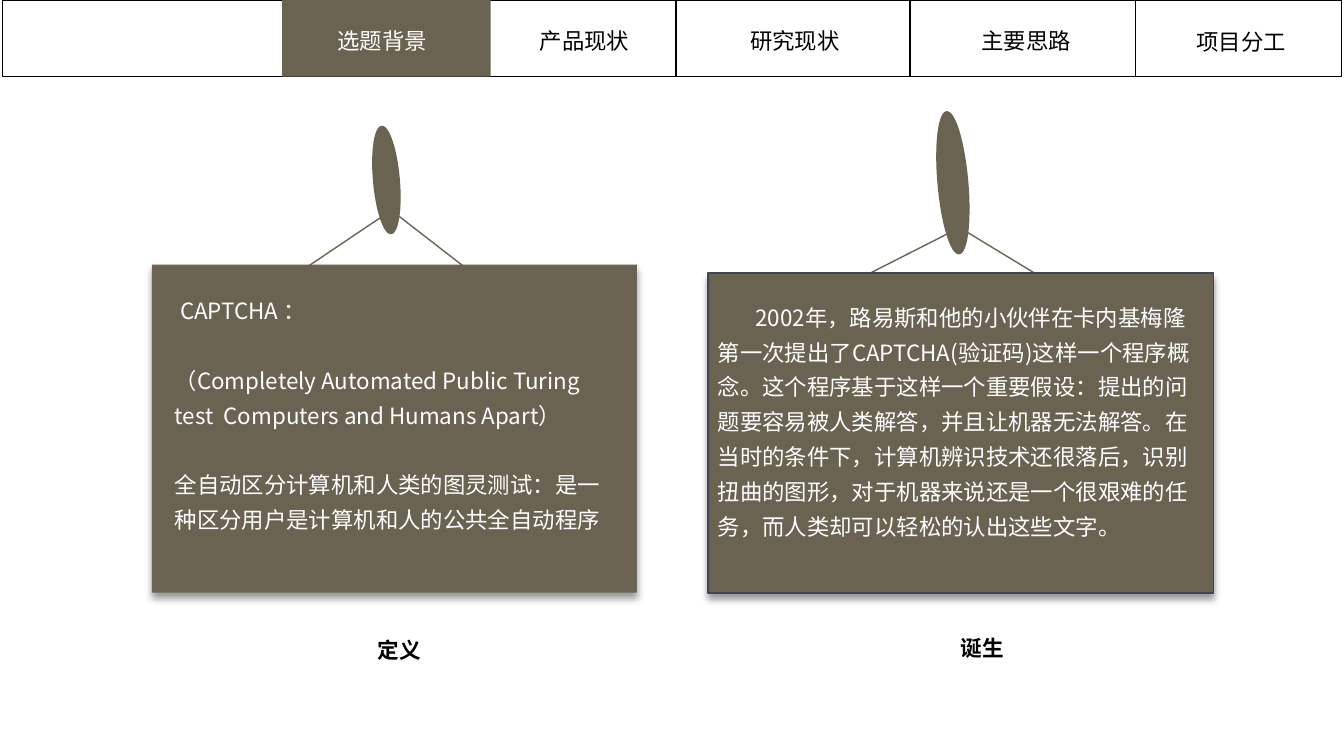
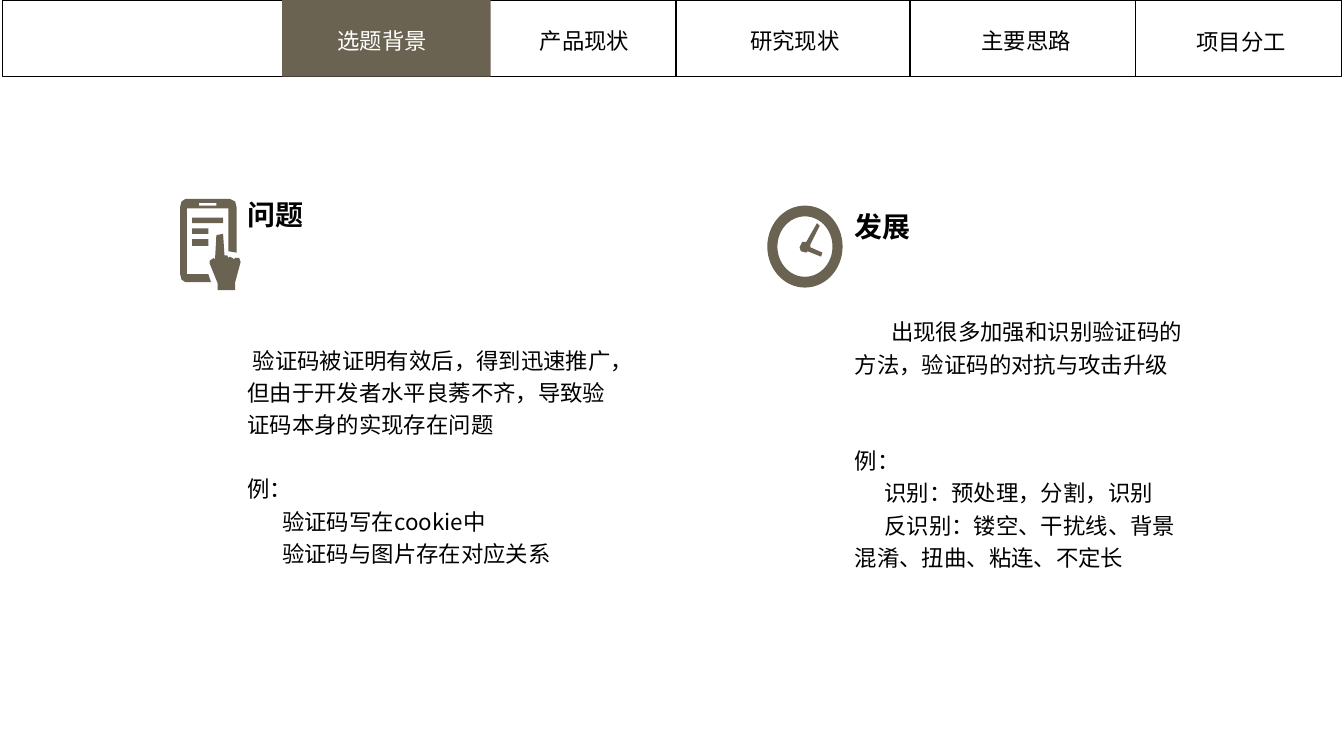
from math import cos, pi, sin

from lxml import etree
from pptx import Presentation
from pptx.dml.color import RGBColor
from pptx.enum import shapes as kinds, text as txt
from pptx.oxml import parse_xml
from pptx.oxml.ns import qn, nsdecls
from pptx.util import Pt

SCALE = 9144  # EMU in one px, 100 px to the inch
TAUPE, BLACK, WHITE, SLATE = "6B6351", "000000", "FFFFFF", "414455"
SANS, LATO = "Noto Sans CJK SC", "Lato"
PAD = (10, 5, 10, 5)
TABS = [  # label, left, top, width
    ("选题背景", 216, 15, 137),
    ("产品现状", 365, 15, 140),
    ("研究现状", 505, 15, 173),
    ("主要思路", 680, 15, 167),
    ("项目分工", 847, 16, 153),
]
ACTIVE = 0
BAR = 57
CAPTION = dict(size=20, font=LATO, bold=True, sub=True)
HEAD = dict(size=15, bold=True)


def px(*vals):
    return [round(v * SCALE) for v in vals]


def rgb(code):
    return RGBColor.from_string(code)


def stroke(line, color, width=0.75):
    if color:
        line.color.rgb, line.width = rgb(color), Pt(width)
    else:
        line.fill.background()


def block(parts, kind, box, fill=None, line=None, width=0.75):
    shape = parts.add_shape(kind, *px(*box))
    shape.shadow.inherit = False
    if fill:
        shape.fill.solid()
        shape.fill.fore_color.rgb = rgb(fill)
    else:
        shape.fill.background()
    stroke(shape.line, line, width)
    return shape


def rule(parts, start, end, color):
    line = parts.add_connector(kinds.MSO_CONNECTOR.STRAIGHT, *px(*start, *end))
    stroke(line.line, color)
    etree.SubElement(line._element.spPr, qn("a:effectLst"))


def shade(shape):
    """Give a shape a soft shadow below it."""
    props = shape._element.spPr
    props.remove(props.find(qn("a:effectLst")))
    props.append(parse_xml(
        f'<a:effectLst {nsdecls("a")}><a:outerShdw blurRad="50800" dist="38100" '
        'dir="5400000" algn="t" rotWithShape="0"><a:srgbClr val="000000">'
        '<a:alpha val="40000"/></a:srgbClr></a:outerShdw></a:effectLst>'))


def write(shape, paras, size=12, color=BLACK, font=SANS, bold=False, sub=False,
          align="LEFT", pitch=1.0, pad=PAD):
    """Fill a frame; each paragraph is (text, first-line indent, points before)."""
    frame = shape.text_frame
    left, top, right, bottom = px(*pad)
    look = dict(word_wrap=True, auto_size=txt.MSO_AUTO_SIZE.NONE,
                vertical_anchor=txt.MSO_ANCHOR.TOP, margin_left=left,
                margin_top=top, margin_right=right, margin_bottom=bottom)
    for name, val in look.items():
        setattr(frame, name, val)
    for n, (words, indent, before) in enumerate(paras):
        para = frame.add_paragraph() if n else frame.paragraphs[0]
        form = dict(alignment=txt.PP_ALIGN[align], line_spacing=pitch,
                    space_before=Pt(before), space_after=Pt(0))
        for name, val in form.items():
            setattr(para, name, val)
        props = para._p.get_or_add_pPr()
        props.set("marL", "0")
        props.set("indent", str(px(indent)[0]))
        etree.SubElement(props, qn("a:buNone"))
        run = para.add_run()
        run.text = words
        for name, val in dict(size=Pt(size), name=font, bold=bold).items():
            setattr(run.font, name, val)
        run.font.color.rgb = rgb(color)
        rpr = run._r.get_or_add_rPr()
        etree.SubElement(rpr, qn("a:ea")).set("typeface", font)
        if sub:
            rpr.set("baseline", "-3000")


def place(slide, idx, box, paras, **form):
    """Move a placeholder to a box, in front of what is drawn, and fill it."""
    holder = slide.placeholders[idx]
    names = ("left", "top", "width", "height")
    for name, val in zip(names, px(*box)):
        setattr(holder, name, val)
    slide.shapes._spTree.append(holder._element)
    write(holder, paras, **form)


def menu(slide):
    """Draw the top bar; the active tab is the slide title."""
    parts = slide.shapes
    rect = kinds.MSO_SHAPE.RECTANGLE
    block(parts, rect, (2, 0, 996, BAR), line=BLACK)
    block(parts, rect, (210, 0, 155, BAR), fill=TAUPE)
    for n, (label, x, y, w) in enumerate(TABS):
        box, paras = (x, y, w, 30), [(label, 0, 0)]
        if n == ACTIVE:
            place(slide, 0, box, paras, color=WHITE, align="CENTER")
        else:
            write(parts.add_textbox(*px(*box)), paras, align="CENTER")
    for x in (503, 677, 845):
        rule(parts, (x, 0), (x, BAR), BLACK)


def board(slide, box, cords, pin, edge=None):
    """Hang a card by two cords from a pin, all relative to its corner."""
    x, y = box[:2]
    parts = slide.shapes.add_group_shape().shapes
    for (ax, ay), (bx, by) in cords:
        rule(parts, (x + ax, y + ay), (x + bx, y + by), TAUPE)
    dx, dy, wide, high = pin
    nail = block(parts, kinds.MSO_SHAPE.OVAL, (x + dx, y + dy, wide, high),
                 TAUPE, TAUPE)
    nail.rotation = 355
    shade(block(parts, kinds.MSO_SHAPE.RECTANGLE, box, TAUPE, edge, 1))


def icon(slide, x, y, loops):
    """Draw closed outlines, relative to a corner, as one shape."""
    loops = [[px(x + a, y + b) for a, b in loop] for loop in loops]
    pen = slide.shapes.build_freeform(*loops[0][0], scale=1.0)
    for n, loop in enumerate(loops):
        if n:
            pen.move_to(*loop[0])
        pen.add_line_segments(loop[1:], close=True)
    shape = pen.convert_to_shape()
    shape.shadow.inherit = False
    shape.fill.solid()
    shape.fill.fore_color.rgb = rgb(TAUPE)
    stroke(shape.line, None)


def ring(cx, cy, rx, ry, steps=60):
    turns = [2 * pi * n / steps for n in range(steps)]
    return [(cx + rx * cos(t), cy + ry * sin(t)) for t in turns]


def bar(x, y, w, h):
    return [(x, y), (x + w, y), (x + w, y + h), (x, y + h)]


def clock(slide, x, y):
    hands = [(32, 29), (39, 15), (37, 13), (29, 27), (26, 27), (24, 31),
             (25, 34), (29, 35), (30, 34), (40, 38), (41, 35), (32, 31)]
    icon(slide, x, y, [ring(28, 30.5, 28, 30.5), ring(28, 30.5, 20.5, 22.5), hands])


def phone(slide, x, y):
    case = [(4, 0), (37, 0), (41, 2), (42, 6), (42, 40), (36, 39), (36, 7),
            (5, 7), (5, 56), (21, 56), (23, 62), (4, 62), (1, 60), (0, 56),
            (0, 6), (1, 2)]
    hand = [(27, 27), (26, 45), (25, 44), (22, 46), (22, 48), (28, 63), (28, 68),
            (41, 68), (41, 62), (45, 47), (44, 44), (41, 44), (40, 45), (39, 44),
            (37, 43), (36, 44), (35, 42), (33, 42), (32, 26)]
    bars = [bar(9, 30, 12, 5), bar(9, 22, 12, 4), bar(9, 14, 23, 4), bar(14, 3, 13, 2)]
    icon(slide, x, y, [case, hand, *bars])


def origin(slide):
    """Two hanging cards: definition and birth."""
    menu(slide)
    board(slide, (113, 197, 361, 244),
          [((115, 2), (170, -35)), ((184, -36), (233, 2))], (165, -103, 19, 80))
    board(slide, (527, 203, 376, 238),
          [((113, 4), (178, -29)), ((193, -30), (249, 4))], (171, -120, 22, 106), SLATE)
    form = dict(color=WHITE, pitch=1.3)
    place(slide, 2, (123, 211, 341, 215), [
        ("CAPTCHA ：", 4, 0),
        ("（Completely Automated Public Turing test  Computers and Humans Apart）", 0, 18.7),
        ("全自动区分计算机和人类的图灵测试：是一种区分用户是计算机和人的公共全自动程序", 0, 18.7),
    ], pad=(7, 4, 7, 4), **form)
    place(slide, 4, (527, 175, 368, 239), [
        ("2002年，路易斯和他的小伙伴在卡内基梅隆第一次提出了CAPTCHA(验证码)这样一个程序概念。"
         "这个程序基于这样一个重要假设：提出的问题要容易被人类解答，并且让机器无法解答。"
         "在当时的条件下，计算机辨识技术还很落后，识别扭曲的图形，对于机器来说还是一个很艰难的任务，"
         "而人类却可以轻松的认出这些文字。", 28, 0),
    ], pad=(7, 45, 7, 4), **form)
    place(slide, 1, (271, 456, 94, 33), [("定义", 0, 0)], **CAPTION)
    place(slide, 3, (705, 455, 94, 33), [("诞生", 0, 0)], **CAPTION)


def growth(slide):
    """Two columns with icons: problems and progress."""
    menu(slide)
    phone(slide, 134, 148)
    clock(slide, 571, 153)
    place(slide, 1, (174, 142, 206, 51), [("问题", 0, 0)], **HEAD)
    place(slide, 3, (626, 151, 206, 50), [("发展", 0, 0)], **HEAD)
    place(slide, 2, (174, 192, 291, 337), [
        ("验证码被证明有效后，得到迅速推广，但由于开发者水平良莠不齐，导致验证码本身的实现存在问题", 4, 0),
        ("例：", 0, 17.2),
        ("验证码写在cookie中", 26, 0),
        ("验证码与图片存在对应关系", 26, 0),
    ], pitch=1.2, pad=(10, 62, 10, 5))
    place(slide, 4, (626, 195, 274, 290), [
        ("出现很多加强和识别验证码的方法，验证码的对抗与攻击升级", 27, 0),
        ("例：", 0, 34.5),
        ("识别：预处理，分割，识别", 22, 0),
        ("反识别：镂空、干扰线、背景混淆、扭曲、粘连、不定长", 22, 0),
    ], pitch=1.2, pad=(10, 38, 10, 5))


def main():
    deck = Presentation()
    deck.slide_width = px(1000)[0]
    deck.slide_height = deck.slide_width * 9 // 16
    pair = deck.slide_layouts.get_by_name("Comparison")
    for build in (origin, growth):
        build(deck.slides.add_slide(pair))
    deck.save("out.pptx")


if __name__ == "__main__":
    main()
